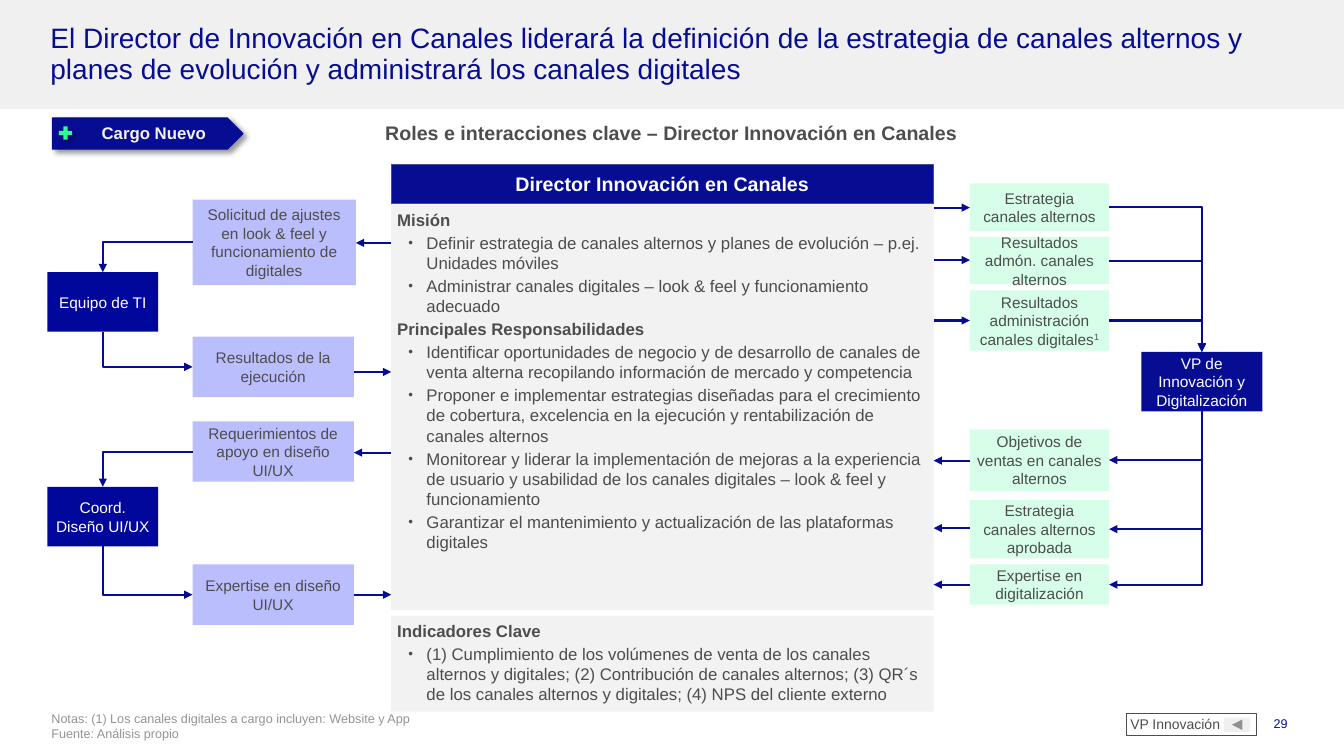
"""Build the slide on the roles and interactions of the channel innovation director."""
from lxml import etree
from pptx import Presentation
from pptx.dml.color import RGBColor
from pptx.enum import shapes, text
from pptx.oxml import ns
from pptx.util import Inches, Pt

NAVY, BLUE, LILAC, MINT = "070D93", "00079A", "BBBEFC", "D6FEE9"
GREY, PANEL, BAND, WHITE = "4D4D4D", "F2F2F2", "F0F0F0", "FFFFFF"
NOTE_GREY, GREEN, HEADER_EDGE = "949494", "33F893", "42508E"
KIND, ALIGN, ANCHOR = shapes.MSO_SHAPE, text.PP_ALIGN, text.MSO_ANCHOR

TITLE = ("El Director de Innovación en Canales liderará la definición de la estrategia de "
         "canales alternos y planes de evolución y administrará los canales digitales")
SUBTITLE = "Roles e interacciones clave – Director Innovación en Canales"
NOTES = ["Notas: (1) Los canales digitales a cargo incluyen: Website y App",
         "Fuente: Análisis propio"]
ROLE = [
    ("Misión", [
        "Definir estrategia de canales alternos y planes de evolución – p.ej. Unidades móviles",
        "Administrar canales digitales – look & feel y funcionamiento adecuado"]),
    ("Principales Responsabilidades", [
        "Identificar oportunidades de negocio y de desarrollo de canales de venta alterna "
        "recopilando información de mercado y competencia",
        "Proponer e implementar estrategias diseñadas para el crecimiento de cobertura, "
        "excelencia en la ejecución y rentabilización de canales alternos",
        "Monitorear y liderar la implementación de mejoras a la experiencia de usuario y "
        "usabilidad de los canales digitales – look & feel y funcionamiento",
        "Garantizar el mantenimiento y actualización de las plataformas digitales"]),
]
INDICATORS = [
    ("Indicadores Clave", [
        "(1) Cumplimiento de los volúmenes de venta de los canales alternos y digitales; "
        "(2) Contribución de canales alternos; (3) QR´s de los canales alternos y digitales; "
        "(4) NPS del cliente externo"]),
]

# Each actor: name, left, top, width, fill
ACTORS = {
    "TI": ("Equipo de TI", 0.47, 2.7, 1.1, BLUE),
    "UX": ("Coord. Diseño UI/UX", 0.47, 4.83, 1.1, BLUE),
    "VP": ("VP de Innovación y Digitalización", 11.32, 3.49, 1.2, NAVY),
}
ACTOR_HEIGHT = 0.59
# Each flow: actor, whether it runs to the actor, text, top, width, height, director arrow height
FLOWS = [
    ("TI", True, "Solicitud de ajustes en look & feel y funcionamiento de digitales",
     1.98, 1.62, 0.85, 2.41),
    ("TI", False, "Resultados de la ejecución", 3.34, 1.6, 0.6, 3.69),
    ("UX", True, "Requerimientos de apoyo en diseño UI/UX", 4.18, 1.6, 0.6, 4.49),
    ("UX", False, "Expertise en diseño UI/UX", 5.6, 1.6, 0.6, 5.9),
    ("VP", True, "Estrategia canales alternos", 1.82, 1.38, 0.47, 2.06),
    ("VP", True, "Resultados admón. canales alternos", 2.35, 1.38, 0.47, 2.58),
    ("VP", True, "Resultados administración canales digitales^1", 2.88, 1.38, 0.6, 3.18),
    ("VP", False, "Objetivos de ventas en canales alternos", 4.26, 1.38, 0.61, 4.57),
    ("VP", False, "Estrategia canales alternos aprobada", 4.96, 1.38, 0.58, 5.24),
    ("VP", False, "Expertise en digitalización", 5.6, 1.38, 0.4, 5.8),
]
LEFT_FLOWS, RIGHT_FLOWS = 1.91, 9.62
PANEL_LEFT, PANEL_WIDTH = 3.88, 5.38


def colour(value):
    return RGBColor.from_string(value)


def add_xml(parent, tag, **attributes):
    return etree.SubElement(parent, ns.qn(tag), attributes)


def place(shape, left, top, width, height):
    shape.left, shape.top = Inches(left), Inches(top)
    shape.width, shape.height = Inches(width), Inches(height)


def paint(shape, fill):
    shape.fill.solid()
    shape.fill.fore_color.rgb = colour(fill)


def add_box(left, top, width, height, fill=None, line=None, line_width=0.75, kind=KIND.RECTANGLE):
    box = page.shapes.add_shape(kind, *map(Inches, (left, top, width, height)))
    box.shadow.inherit = False
    if fill:
        paint(box, fill)
    else:
        box.fill.background()
    if line:
        box.line.color.rgb = colour(line)
        box.line.width = Pt(line_width)
    else:
        box.line.fill.background()
    return box


def add_text_box(left, top, width, height):
    return page.shapes.add_textbox(*map(Inches, (left, top, width, height)))


def cast_shadow(shape):
    effects = shape.element.spPr.find(ns.qn("a:effectLst"))
    shadow = add_xml(effects, "a:outerShdw", blurRad=str(Pt(4)), dist=str(Pt(3)),
                     dir="2700000", algn="tl", rotWithShape="0")
    add_xml(add_xml(shadow, "a:srgbClr", val="000000"), "a:alpha", val="40000")


def set_frame(shape, side=0.1, top=0.05, anchor=ANCHOR.MIDDLE):
    frame = shape.text_frame
    frame.word_wrap = True
    frame.auto_size = text.MSO_AUTO_SIZE.NONE
    frame.vertical_anchor = anchor
    frame.margin_left = frame.margin_right = Inches(side)
    frame.margin_top, frame.margin_bottom = Inches(top), Inches(0.05)
    return frame


def style(para, size, ink, bold=False, align=ALIGN.LEFT, spacing=1.0, after=0):
    para.alignment, para.line_spacing = align, spacing
    para.space_before, para.space_after = Pt(0), Pt(after)
    para.font.name, para.font.size, para.font.bold = "Arial", Pt(size), bold
    para.font.color.rgb = colour(ink)


def write(shape, content, size, ink, side=0.1, top=0.05, anchor=ANCHOR.MIDDLE, **look):
    frame = set_frame(shape, side, top, anchor)
    for number, line in enumerate(content.split("\n")):
        para = frame.add_paragraph() if number else frame.paragraphs[0]
        body, _, superscript = line.partition("^")
        para.add_run().text = body
        if superscript:
            span = para.add_run()
            span.text = superscript
            span.font._element.set("baseline", "30000")
        style(para, size, ink, **look)


def fill_panel(panel, sections, top, height):
    place(panel, PANEL_LEFT, top, PANEL_WIDTH, height)
    paint(panel, PANEL)
    frame = set_frame(panel, side=0.06, anchor=ANCHOR.TOP)
    lines = [(line, level) for heading, items in sections
             for line, level in [(heading, 0)] + [(item, 1) for item in items]]
    for number, (line, level) in enumerate(lines):
        para = frame.add_paragraph() if number else frame.paragraphs[0]
        para.add_run().text = line
        props = para._p.get_or_add_pPr()
        props.set("marL", str(Inches(0.29 * level)))
        props.set("indent", str(Inches(-0.18 * level)))
        if level:
            add_xml(add_xml(props, "a:buClr"), "a:srgbClr", val=GREY)
            add_xml(props, "a:buSzPct", val="80000")
            add_xml(props, "a:buFont", typeface="Arial")
            add_xml(props, "a:buChar", char="•")
        else:
            add_xml(props, "a:buNone")
        style(para, 12, GREY, bold=not level, after=2)


def add_arrow(start, end, point_at_end=True, elbow=False):
    kind = shapes.MSO_CONNECTOR.ELBOW if elbow else shapes.MSO_CONNECTOR.STRAIGHT
    arrow = page.shapes.add_connector(kind, *map(Inches, start + end))
    arrow.line.color.rgb = colour(NAVY)
    arrow.line.width = Pt(1.5)
    properties = arrow.element.spPr
    if elbow:
        properties.find(ns.qn("a:prstGeom")).set("prst", "bentConnector2")
    add_xml(properties.find(ns.qn("a:ln")),
            "a:tailEnd" if point_at_end else "a:headEnd", type="triangle")
    add_xml(properties, "a:effectLst")


def add_flow(actor, to_actor, label, top, width, height, arrow_y):
    _, actor_left, actor_top, actor_width, _ = ACTORS[actor]
    on_right = actor == "VP"
    left = RIGHT_FLOWS if on_right else LEFT_FLOWS
    box = add_box(left, top, width, height, MINT if on_right else LILAC)
    write(box, label, 11, GREY, side=0.06, align=ALIGN.CENTER)
    outer = left + width if on_right else left
    entry = actor_top if to_actor else actor_top + ACTOR_HEIGHT
    add_arrow((outer, top + height / 2), (actor_left + actor_width / 2, entry), to_actor, elbow=True)
    inner = left if on_right else left + width
    director = PANEL_LEFT + PANEL_WIDTH if on_right else PANEL_LEFT
    add_arrow((director, arrow_y), (inner, arrow_y), to_actor)


deck = Presentation()
deck.slide_width, deck.slide_height = Inches(13.33), Inches(7.5)
page = deck.slides.add_slide(deck.slide_layouts[3])
title, role_panel, indicator_panel = list(page.placeholders)[:3]

band = add_box(0, 0, 13.33, 1.08, BAND)
band.element.getparent().insert(2, band.element)
place(title, 0.46, 0.2, 12.4, 0.69)
write(title, TITLE, 20, NAVY, side=0.04, spacing=0.9)
write(add_text_box(0.46, 1.18, 12.4, 0.31), SUBTITLE, 14, GREY,
      bold=True, align=ALIGN.CENTER, spacing=0.9)

fill_panel(role_panel, ROLE, 2.03, 4.02)
fill_panel(indicator_panel, INDICATORS, 6.11, 0.95)
header = add_box(PANEL_LEFT, 1.63, PANEL_WIDTH, 0.39, NAVY, HEADER_EDGE, 0.5)
write(header, "Director Innovación en Canales", 14, WHITE, bold=True, align=ALIGN.CENTER)

for name, left, top, width, fill in ACTORS.values():
    write(add_box(left, top, width, ACTOR_HEIGHT, fill), name, 11, WHITE,
          side=0.08, align=ALIGN.CENTER)
for flow in FLOWS:
    add_flow(*flow)

tag = add_box(0.52, 1.17, 1.89, 0.31, NAVY, NAVY, kind=KIND.PENTAGON)
write(tag, "Cargo Nuevo", 12, PANEL, side=0.04, bold=True, align=ALIGN.CENTER, spacing=0.9)
tag.text_frame.margin_left = Inches(0.24)
plus = add_box(0.56, 1.23, 0.18, 0.18, GREEN, kind=KIND.MATH_PLUS)
for shape in (tag, plus):
    cast_shadow(shape)

write(add_text_box(0.47, 7.05, 10.6, 0.4), "\n".join(NOTES), 9, NOTE_GREY,
      side=0.04, top=0, anchor=ANCHOR.TOP)
write(add_text_box(11.76, 7.05, 1.11, 0.4), "29", 9, NAVY, anchor=ANCHOR.TOP, align=ALIGN.RIGHT)
button = add_box(12.14, 7.12, 0.26, 0.14, BAND, kind=KIND.ACTION_BUTTON_FORWARD_OR_NEXT)
button.rotation = 180
write(add_box(11.17, 7.08, 1.29, 0.22, line=GREY), "VP Innovación", 10, GREY,
      side=0.04, spacing=0.9)

deck.save("out.pptx")
